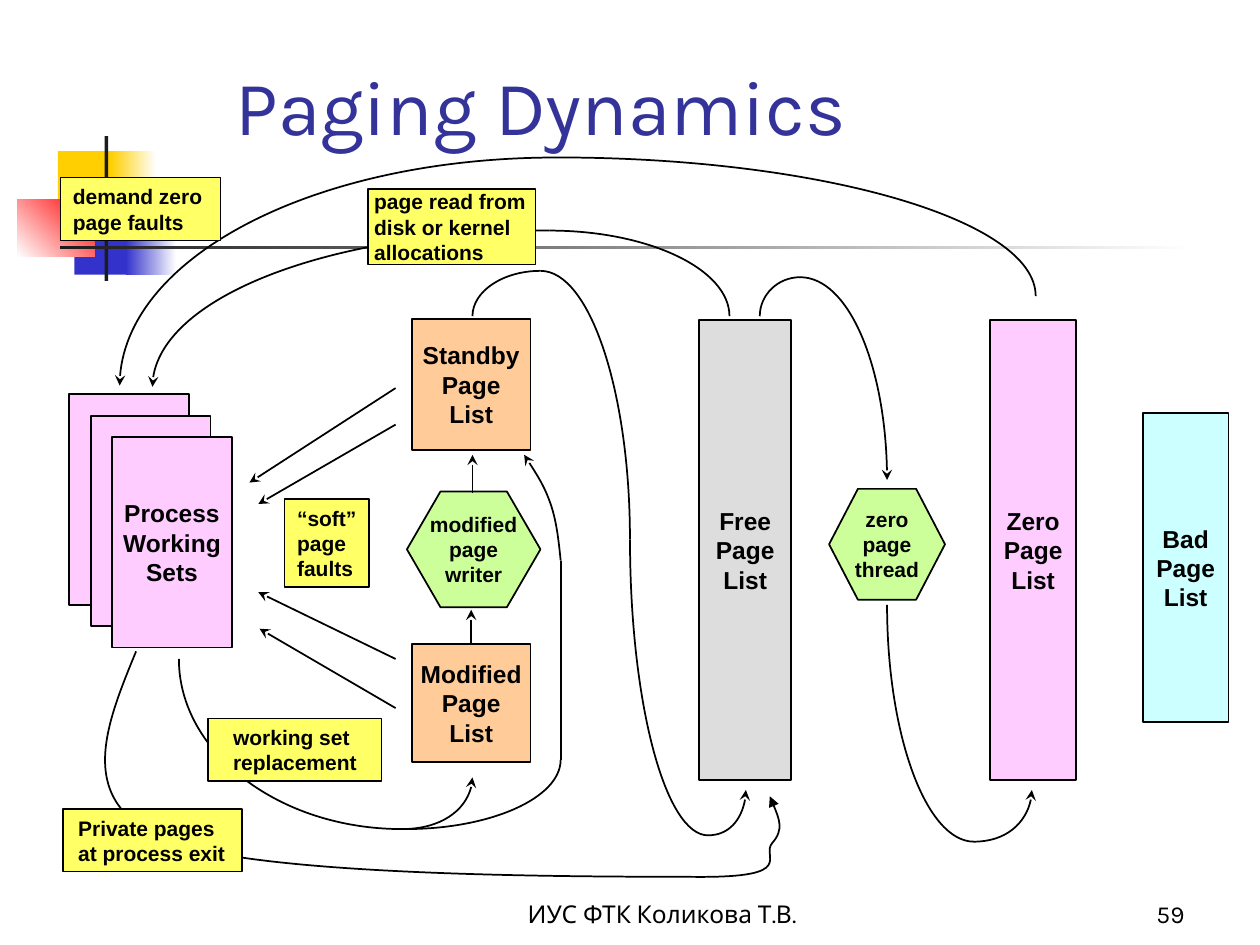
from dataclasses import dataclass
from typing import Optional

import lxml.etree
import pptx
import pptx.dml.color
import pptx.enum.shapes
import pptx.enum.text
import pptx.oxml.ns
import pptx.util

MSO = pptx.enum.shapes.MSO_SHAPE
ALIGN = pptx.enum.text.PP_ALIGN
ANCHOR = pptx.enum.text.MSO_ANCHOR
qn = pptx.oxml.ns.qn


@dataclass(frozen=True)
class Theme:
    black: str = "000000"
    white: str = "FFFFFF"
    dark: str = "1C1C1C"
    gold: str = "FFCF01"
    blue: str = "3333CC"
    red: str = "FF0000"
    title: str = "333399"
    orange: str = "FFCC99"
    pink: str = "FFCCFF"
    grey: str = "DDDDDD"
    green: str = "CCFF99"
    cyan: str = "CCFFFF"
    yellow: str = "FFFF66"
    heading_font: str = "Karla"
    body_font: str = "Arial"
    title_size: int = 44
    list_size: int = 14
    note_size: int = 12
    line: float = 1
    note_line: float = 0.75


T = Theme()


@dataclass(frozen=True)
class Bar:
    at: tuple
    start: str
    end: Optional[str] = None
    angle: int = 180


@dataclass(frozen=True)
class Box:
    at: tuple
    fill: str
    text: str = ""
    size: int = T.list_size
    hexagon: Optional[float] = None


@dataclass(frozen=True)
class Note:
    at: tuple
    text: str
    inset: float = 0.1
    wrap: bool = True


@dataclass(frozen=True)
class Arcs:
    points: tuple
    head: Optional[str] = None
    tail: Optional[str] = None


@dataclass(frozen=True)
class Smooth:
    points: tuple
    head: Optional[str] = None
    tail: Optional[str] = None


@dataclass(frozen=True)
class Arrow:
    start: tuple
    end: tuple
    head: Optional[str] = "stealth"
    joins: Optional[str] = None


BARS = [
    Bar((0.46, 1.2, 0.48, 0.52), T.gold),
    Bar((0.88, 1.2, 0.36, 0.52), T.white, T.gold),
    Bar((0.59, 1.66, 0.46, 0.52), T.blue),
    Bar((1, 1.66, 0.4, 0.52), T.white, T.blue),
    Bar((0.14, 1.58, 0.61, 0.46), T.red, T.white, 225),
    Bar((0.83, 1.08, 0.03, 1.15), T.dark),
    Bar((0.48, 1.95, 9, 0.03), T.white, T.dark),
]
MODIFIED = "Modified\nPage\vList"
SETS = ["", "", "Process\nWorking\nSets"]
SOFT_FAULTS = [(1.98, 3.83, 3.08), (2.05, 4, 3.37), (2.05, 4.7, 5.23), (2.06, 4.99, 5.62)]

DIAGRAM = [
    Box((3.27, 2.53, 0.94, 1.04), T.orange, "Standby\nPage\vList"),
    Box((7.86, 2.54, 0.68, 3.65), T.pink, "Zero\nPage\nList"),
    Box((5.55, 2.54, 0.73, 3.65), T.grey, "Free\nPage\vList"),
    *[Box((0.55 + 0.17 * i, 3.13 + 0.17 * i, 0.95, 1.67), T.pink, text) for i, text in enumerate(SETS)],
    Arcs(((1.21, 3.07), (4.36, 1.83), (5.79, 2.51)), head="stealth"),
    Note((2.92, 1.5, 1.33, 0.6), "page read from disk or kernel allocations", 0.05),
    Arcs(((0.95, 3.06), (4.42, 1.25), (8.22, 2.35)), head="stealth"),
    Note((0.48, 1.41, 1.27, 0.5), "demand zero page faults"),
    Arcs(((1.42, 5.23), (3.19, 6.58), (3.75, 6.17)), tail="stealth"),
    Note((1.65, 5.7, 1.38, 0.5), "working set replacement", 0.2),
    Smooth(((4.16, 3.61), (4.37, 4), (4.45, 4.45)), head="stealth"),
    Arrow((4.45, 4.45), (4.45, 6.03), head=None),
    Arcs(((4.45, 6.03), (3.22, 6.58))),
    Box((3.27, 5.11, 0.94, 0.94), T.orange, MODIFIED),
    Box((3.23, 3.9, 1.06, 0.92), T.green, "modified\npage\nwriter", T.note_size, 0.29),
    Arrow((3.75, 3.61), (3.75, 3.91)),
    Arrow((3.74, 4.84), (3.74, 5.11), joins=MODIFIED),
    Arcs(((3.75, 2.51), (4.29, 2.15), (5, 4.28), (5.62, 6.63), (5.92, 6.27)), tail="stealth"),
    Box((6.58, 3.88, 0.92, 0.88), T.green, "zero\npage\nthread", T.note_size, 0.26),
    Arcs(((6.03, 2.51), (6.35, 2.2), (7.04, 3.81)), tail="stealth"),
    Arcs(((7.04, 4.8), (7.73, 6.68), (8.19, 6.27)), tail="stealth"),
    *[Arrow((x, y), (3.14, far_y)) for x, y, far_y in SOFT_FAULTS],
    Note((2.26, 3.96, 0.67, 0.7), "“soft”\npage\nfaults", wrap=False),
    Box((9.07, 3.28, 0.68, 2.45), T.cyan, "Bad\nPage\nList"),
    Smooth(((1.08, 5.17), (1.33, 6.67), (5.54, 6.96), (6.13, 6.69), (6.11, 6.32)), tail="triangle"),
    Note((0.5, 6.42, 1.42, 0.5), "Private pages at process exit", 0.12),
]


def cm(inches: float) -> int:
    return pptx.util.Cm(inches * 2.54)


def rgb(value: str):
    return pptx.dml.color.RGBColor.from_string(value)


def apply(obj, values: dict) -> None:
    for name, value in values.items():
        setattr(obj, name, value)


def write(tf, text: str, size: int, font: str = T.body_font, color: str = T.black, bold: bool = True,
          align=ALIGN.LEFT, anchor=ANCHOR.MIDDLE, wrap: bool = True, inset: float = 0.1) -> None:
    tf.text = text
    apply(tf, {"auto_size": pptx.enum.text.MSO_AUTO_SIZE.NONE, "word_wrap": wrap, "vertical_anchor": anchor,
               "margin_left": cm(inset), "margin_right": cm(min(inset, 0.1))})
    for p in tf.paragraphs:
        p.alignment = align
        apply(p.font, {"name": font, "size": pptx.util.Pt(size), "bold": bold})
        p.font.color.rgb = rgb(color)


def outline(sp, width: float = T.line, head: Optional[str] = None, tail: Optional[str] = None) -> None:
    sp.line.color.rgb = rgb(T.black)
    sp.line.width = pptx.util.Pt(width)
    for tag, kind in (("a:headEnd", head), ("a:tailEnd", tail)):
        if kind:
            lxml.etree.SubElement(sp.line._get_or_add_ln(), qn(tag), type=kind)


def draw_shape(s, at: tuple, fill: str, kind=MSO.RECTANGLE):
    sp = s.shapes.add_shape(kind, *map(cm, at))
    sp.shadow.inherit = False
    sp.fill.solid()
    sp.fill.fore_color.rgb = rgb(fill)
    return sp


def draw_bar(s, bar: Bar) -> None:
    sp = draw_shape(s, bar.at, bar.start)
    sp.line.fill.background()
    if bar.end:
        sp.fill.gradient()
        sp.fill.gradient_angle = bar.angle
        for position, (stop, color) in enumerate(zip(sp.fill.gradient_stops, (bar.start, bar.end))):
            stop.color.rgb = rgb(color)
            stop.position = position


def draw_box(s, box: Box):
    sp = draw_shape(s, box.at, box.fill, MSO.HEXAGON if box.hexagon else MSO.RECTANGLE)
    if box.hexagon:
        sp.adjustments[0] = box.hexagon
    outline(sp)
    if box.text:
        write(sp.text_frame, box.text, box.size, align=ALIGN.CENTER, wrap=False)
    return sp


def draw_note(s, note: Note) -> None:
    sp = draw_shape(s, note.at, T.yellow)
    outline(sp, T.note_line)
    write(sp.text_frame, note.text, T.note_size, wrap=note.wrap, inset=note.inset)
    apply(sp.text_frame, {"margin_top": 0, "margin_bottom": 0})


def between(a: tuple, b: tuple, share: float) -> tuple:
    return tuple(m + (n - m) * share for m, n in zip(a, b))


def draw_bezier(s, points: list, head: Optional[str], tail: Optional[str]) -> None:
    start, *rest = [tuple(map(cm, point)) for point in points]
    builder = s.shapes.build_freeform(*start)
    builder.add_line_segments(rest, close=False)
    sp = builder.convert_to_shape()
    sp.shadow.inherit = False
    sp.fill.background()
    outline(sp, head=head, tail=tail)
    route = sp._element.find(".//" + qn("a:path"))
    steps = route.findall(qn("a:lnTo"))
    for i in range(0, len(steps), 3):
        bezier = lxml.etree.SubElement(route, qn("a:cubicBezTo"))
        for step in steps[i:i + 3]:
            bezier.append(step[0])
            route.remove(step)


def draw_arcs(s, arcs: Arcs) -> None:
    pairs = list(zip(arcs.points, arcs.points[1:]))
    for i, (a, b) in enumerate(pairs):
        corner = (b[0], a[1]) if i % 2 else (a[0], b[1])
        draw_bezier(s, [a, between(a, corner, 0.55), between(b, corner, 0.55), b],
                    arcs.head if i == 0 else None, arcs.tail if i == len(pairs) - 1 else None)


def draw_smooth(s, curve: Smooth) -> None:
    start, *inner, end = curve.points
    points = [start]
    for before, here, after in zip(curve.points, inner, curve.points[2:]):
        dx, dy = ((n - m) / 6 for m, n in zip(before, after))
        points += [(here[0] - dx, here[1] - dy), here, (here[0] + dx, here[1] + dy)]
    points.insert(1, between(start, points[1], 0.5))
    draw_bezier(s, points + [between(points[-1], end, 0.5), end], curve.head, curve.tail)


def draw_arrow(s, arrow: Arrow, boxes: dict) -> None:
    c = s.shapes.add_connector(pptx.enum.shapes.MSO_CONNECTOR.STRAIGHT, *map(cm, arrow.start + arrow.end))
    outline(c, head=arrow.head)
    lxml.etree.SubElement(c._element.spPr, qn("a:effectLst"))
    if arrow.joins:
        c.end_connect(boxes[arrow.joins], 0)


def draw_label(s, at: tuple, text: str, align) -> None:
    tf = s.shapes.add_textbox(*map(cm, at)).text_frame
    write(tf, text, T.list_size, T.heading_font, bold=False, align=align, anchor=ANCHOR.BOTTOM)


def main() -> None:
    prs = pptx.Presentation()
    apply(prs, {"slide_width": cm(10), "slide_height": cm(7.5)})
    s = prs.slides.add_slide(prs.slide_layouts[5])
    title = s.shapes.title
    apply(title, dict(zip(("left", "top", "width", "height"), map(cm, (1.77, 0, 8.52, 1.25)))))
    write(title.text_frame, "Paging Dynamics", T.title_size, T.heading_font, T.title, False, anchor=ANCHOR.BOTTOM)
    for bar in BARS:
        draw_bar(s, bar)
    boxes = {}
    draw = {Note: draw_note, Arcs: draw_arcs, Smooth: draw_smooth}
    for item in DIAGRAM:
        if isinstance(item, Box):
            boxes[item.text] = draw_box(s, item)
        elif isinstance(item, Arrow):
            draw_arrow(s, item, boxes)
        else:
            draw[type(item)](s, item)
    draw_label(s, (3.67, 6.92, 3.17, 0.5), "ИУС ФТК Коликова Т.В.", ALIGN.CENTER)
    draw_label(s, (7.42, 6.92, 2.08, 0.5), "59", ALIGN.RIGHT)
    prs.save("out.pptx")


if __name__ == "__main__":
    main()
